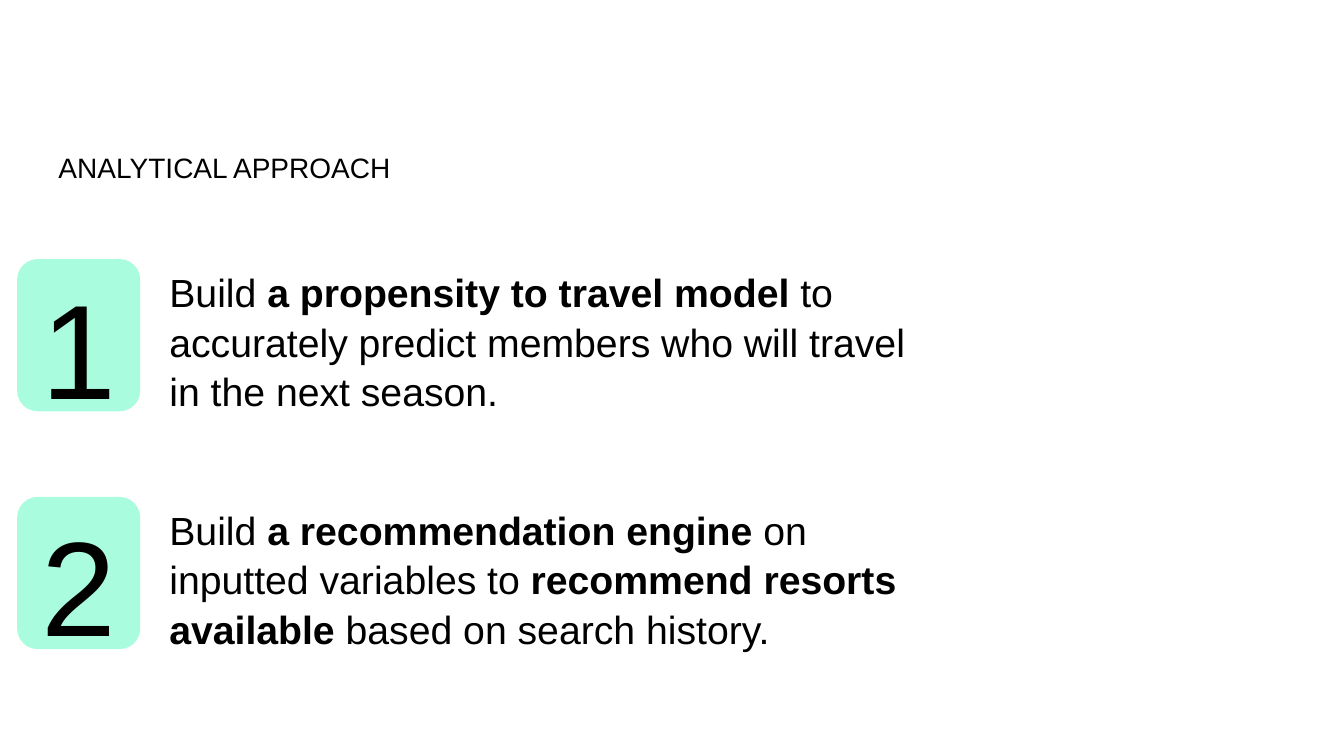
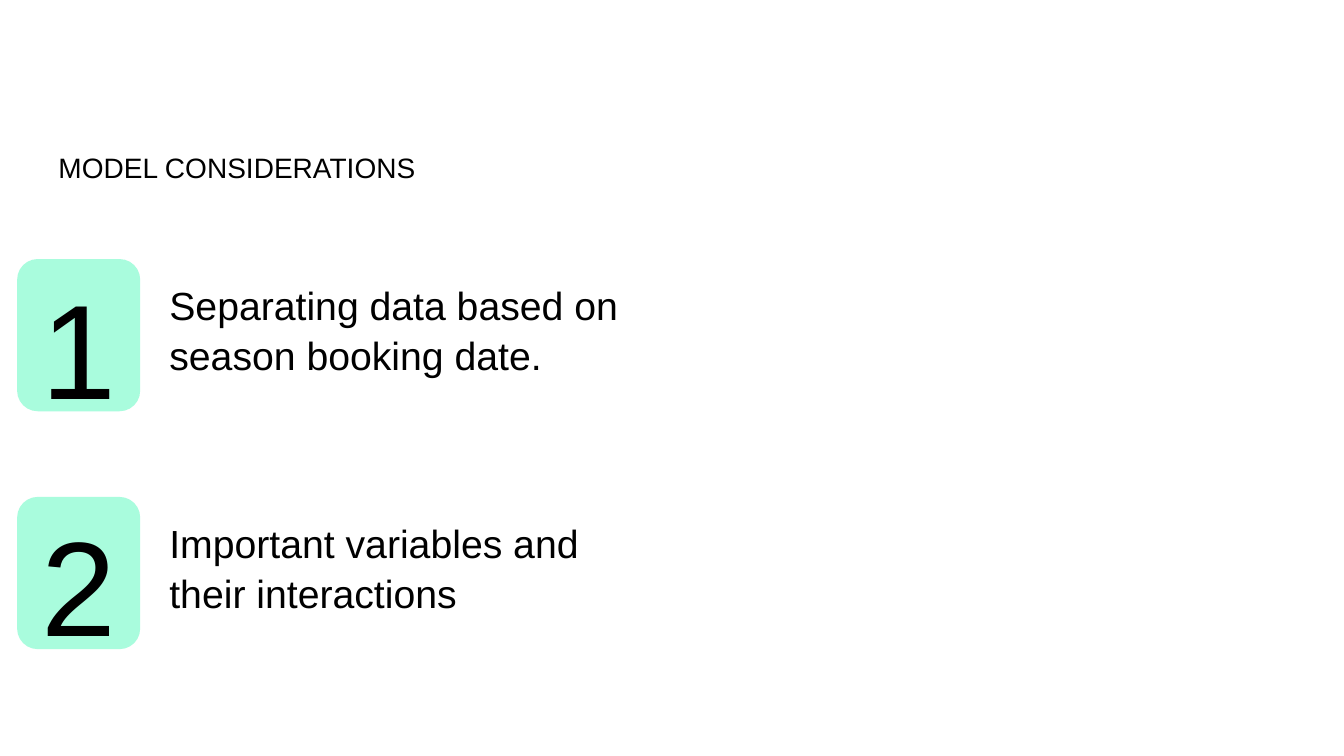
from dataclasses import dataclass

import pptx
import pptx.dml.color
import pptx.enum.shapes
import pptx.enum.text
import pptx.oxml.ns
import pptx.presentation
import pptx.shapes.autoshape
import pptx.slide
import pptx.text.text
import pptx.util
from lxml import etree
from pptx.util import Inches

COLOURS = {"badge": "A9FCDD", "text": "000000", "background": "FFFFFF"}
FONT = "Arial"
LINE_SPACING = 1.05
TWO_CONTENT_LAYOUT = 3

BADGE_LEFT, BADGE_TOP = 0.17, 2.57
BADGE_WIDTH, BADGE_HEIGHT = 1.22, 1.51
ROW_PITCH = 2.36
POINT_LEFT = 1.58


@dataclass(frozen=True)
class Phrase:
    text: str
    bold: bool = False


@dataclass(frozen=True)
class NumberedSlide:
    title: str
    points: list[list[Phrase]]
    point_width: float
    point_height: float
    point_offset: float = 0


SLIDES = [
    NumberedSlide(
        "ANALYTICAL APPROACH",
        [
            [
                Phrase("Build "),
                Phrase("a propensity to travel model ", True),
                Phrase("to accurately predict members who will travel in the next season."),
            ],
            [
                Phrase("Build "),
                Phrase("a recommendation engine ", True),
                Phrase("on inputted variables to "),
                Phrase("recommend resorts available", True),
                Phrase(" based on search history."),
            ],
        ],
        point_width=7.63,
        point_height=1.51,
    ),
    NumberedSlide(
        "MODEL CONSIDERATIONS",
        [
            [Phrase("Separating data based on season booking date.")],
            [Phrase("Important variables and their interactions")],
        ],
        point_width=4.89,
        point_height=1.04,
        point_offset=0.13,
    ),
]


def colour(name: str) -> pptx.dml.color.RGBColor:
    return pptx.dml.color.RGBColor.from_string(COLOURS[name])


def place(
    shape: pptx.shapes.autoshape.Shape, left: float, top: float, width: float, height: float
) -> None:
    shape.left, shape.top = Inches(left), Inches(top)
    shape.width, shape.height = Inches(width), Inches(height)


def write(
    frame: pptx.text.text.TextFrame,
    phrases: list[Phrase],
    size: float,
    top_inset: float,
    align: pptx.enum.text.PP_ALIGN = pptx.enum.text.PP_ALIGN.LEFT,
    anchor: pptx.enum.text.MSO_ANCHOR = pptx.enum.text.MSO_ANCHOR.TOP,
) -> None:
    frame.word_wrap = True
    frame.auto_size = pptx.enum.text.MSO_AUTO_SIZE.NONE
    frame.vertical_anchor = anchor
    frame.margin_top = Inches(top_inset)
    paragraph = frame.paragraphs[0]
    paragraph.alignment = align
    paragraph.line_spacing = LINE_SPACING
    paragraph.space_before = pptx.util.Pt(0)
    for phrase in phrases:
        run = paragraph.add_run()
        run.text = phrase.text
        run.font.name = FONT
        run.font.size = pptx.util.Pt(size)
        run.font.bold = phrase.bold
        run.font.color.rgb = colour("text")


def remove_bullet(paragraph: pptx.text.text._Paragraph) -> None:
    properties = paragraph._p.get_or_add_pPr()
    properties.set("marL", "0")
    properties.set("indent", "0")
    etree.SubElement(properties, pptx.oxml.ns.qn("a:buNone"))


def add_badge(slide: pptx.slide.Slide, number: int, top: float) -> None:
    badge = slide.shapes.add_shape(
        pptx.enum.shapes.MSO_SHAPE.ROUNDED_RECTANGLE,
        Inches(BADGE_LEFT), Inches(top), Inches(BADGE_WIDTH), Inches(BADGE_HEIGHT),
    )
    badge.shadow.inherit = False
    badge.fill.solid()
    badge.fill.fore_color.rgb = colour("badge")
    badge.line.fill.background()
    write(
        badge.text_frame, [Phrase(str(number))], 96, 0.17,
        pptx.enum.text.PP_ALIGN.CENTER, pptx.enum.text.MSO_ANCHOR.MIDDLE,
    )


def add_numbered_slide(
    presentation: pptx.presentation.Presentation, content: NumberedSlide
) -> None:
    slide = presentation.slides.add_slide(presentation.slide_layouts[TWO_CONTENT_LAYOUT])
    slide.background.fill.solid()
    slide.background.fill.fore_color.rgb = colour("background")
    title = slide.shapes.title
    place(title, 0.48, 1.42, 7.63, 0.44)
    write(title.text_frame, [Phrase(content.title)], 20, 0.06)

    for number, phrases in enumerate(content.points, start=1):
        row_top = BADGE_TOP + (number - 1) * ROW_PITCH
        add_badge(slide, number, row_top)
        point = slide.placeholders[number]
        place(
            point, POINT_LEFT, row_top + content.point_offset,
            content.point_width, content.point_height,
        )
        write(point.text_frame, phrases, 28, 0.07)
        remove_bullet(point.text_frame.paragraphs[0])


def main() -> None:
    presentation = pptx.Presentation()
    presentation.slide_width = Inches(13.33)
    presentation.slide_height = Inches(7.5)
    for content in SLIDES:
        add_numbered_slide(presentation, content)
    presentation.save("out.pptx")


if __name__ == "__main__":
    main()
